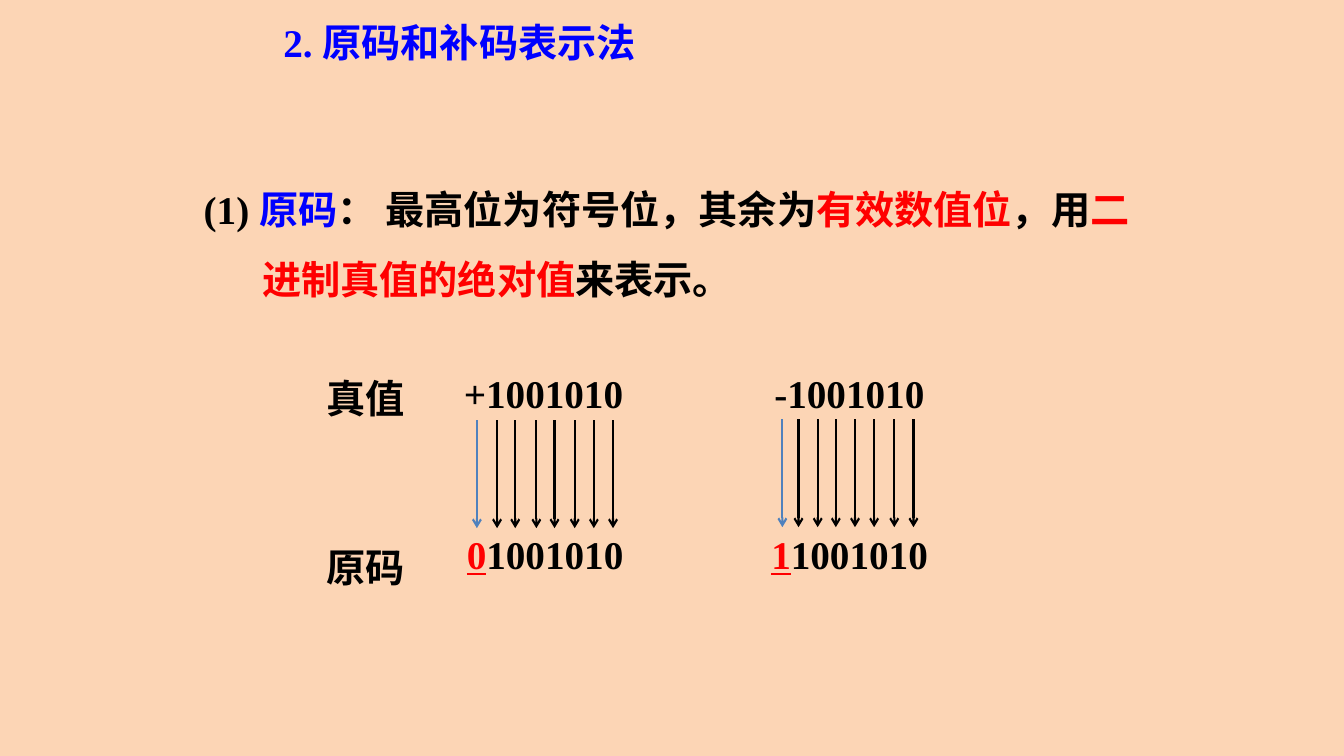
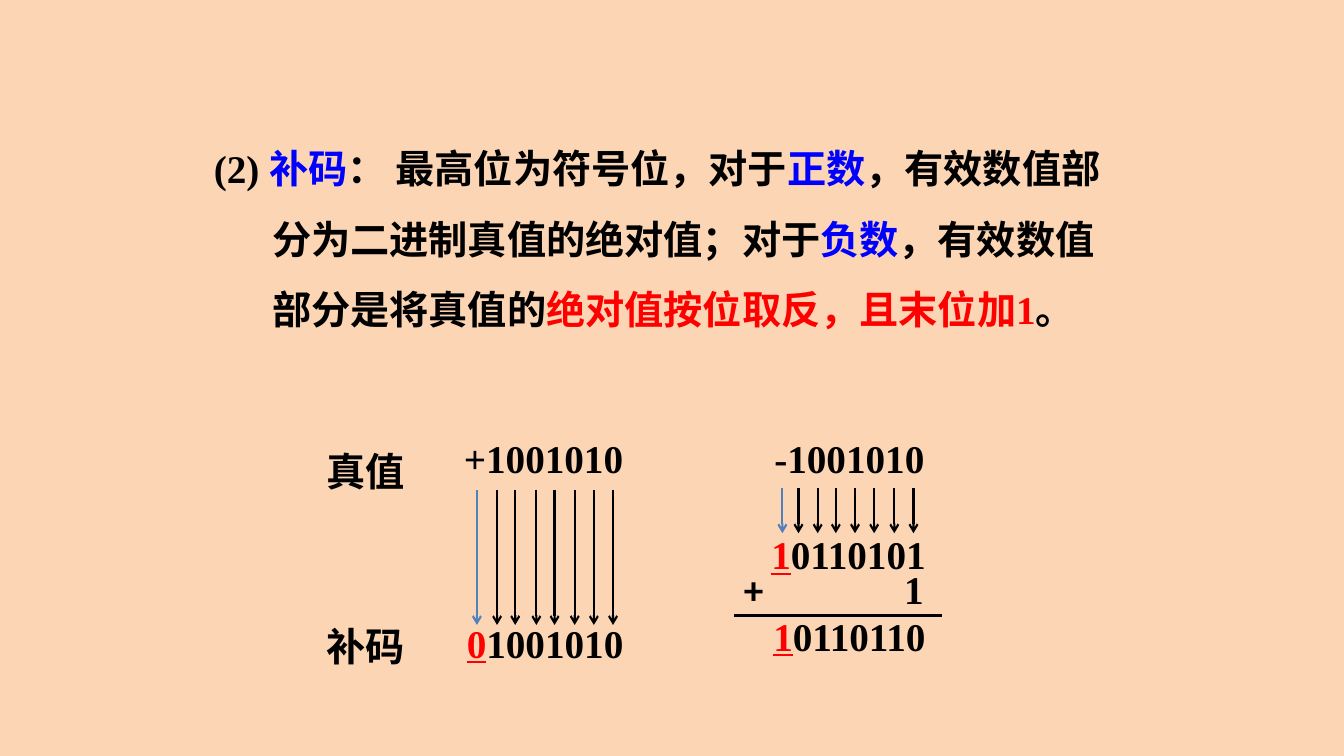
import lxml.etree
import pptx
import pptx.dml.color
import pptx.enum.shapes
import pptx.enum.text
import pptx.oxml.ns
import pptx.util

Inches = pptx.util.Inches
qn = pptx.oxml.ns.qn
hues = {"back": "FCD5B5", "ink": "000000", "blue": "0000FF", "red": "FF0000", "steel": "4F81BD"}
serif = "Times New Roman"
hans = "Noto Sans CJK SC"
style = {"size": pptx.util.Pt(28), "bold": True}
plain = {"word_wrap": True, "auto_size": pptx.enum.text.MSO_AUTO_SIZE.NONE,
         "vertical_anchor": pptx.enum.text.MSO_ANCHOR.TOP}
tight = {**plain, "margin_left": Inches(0.06), "margin_right": Inches(0.06),
         "margin_top": Inches(0.01), "margin_bottom": Inches(0.01)}
loose = {**plain, "word_wrap": False}


def write(shape, area, parts, frame=plain, face=serif, space=1.0):
    for key, value in zip(("left", "top", "width", "height"), area):
        setattr(shape, key, Inches(value))
    for key, value in frame.items():
        setattr(shape.text_frame, key, value)
    para = shape.text_frame.paragraphs[0]
    form = {"alignment": pptx.enum.text.PP_ALIGN.LEFT, "line_spacing": space,
            "space_before": pptx.util.Pt(0)}
    for key, value in form.items():
        setattr(para, key, value)
    for text, hue, *under in parts:
        run = para.add_run()
        run.text = text
        for key, value in {**style, "name": face, "underline": bool(under)}.items():
            setattr(run.font, key, value)
        run.font.color.rgb = pptx.dml.color.RGBColor.from_string(hues[hue])
        lxml.etree.SubElement(run.font._element, qn("a:ea"), typeface=hans)
    return para


def stroke(slide, start, end, hue, width, arrow=True):
    line = slide.shapes.add_connector(
        pptx.enum.shapes.MSO_CONNECTOR.STRAIGHT, *(Inches(n) for n in start + end))
    line.line.width = pptx.util.Pt(width)
    line.line.color.rgb = pptx.dml.color.RGBColor.from_string(hues[hue])
    props = line._element.spPr
    if arrow:
        lxml.etree.SubElement(props.find(qn("a:ln")), qn("a:tailEnd"), type="arrow")
    lxml.etree.SubElement(props, qn("a:effectLst"))


deck = pptx.Presentation()
deck.slide_width = Inches(13.33)
deck.slide_height = Inches(7.5)
fill = deck.slide_master.background.fill
fill.solid()
fill.fore_color.rgb = pptx.dml.color.RGBColor.from_string(hues["back"])

left = [4.73, 4.93, 5.11, 5.32, 5.5, 5.7, 5.89, 6.08]
right = [7.76, 7.92, 8.11, 8.29, 8.48, 8.67, 8.87, 9.06]

pages = [
    {"title": "2. 原码和补码表示法",
     "area": (1.92, 1.55, 9.47, 1.42),
     "body": [("(1) ", "ink"), ("原码", "blue"), ("： 最高位为符号位，其余为", "ink"),
              ("有效数值位", "red"), ("，用", "ink"), ("二进制真值的绝对值", "red"),
              ("来表示。", "ink")],
     "value": 3.65,
     "names": [("真值", 3.59, "Arial"), ("原码", 5.26, hans)],
     "codes": [(4.57, 5.25, "0", "1001010"), (7.59, 5.25, "1", "1001010")],
     "arrows": [(left, 4.17, 5.24), (right, 4.16, 5.23)]},
    {"title": None,
     "area": (2.02, 1.15, 9.08, 2.05),
     "body": [("(2) ", "ink"), ("补码", "blue"), ("： 最高位为符号位，对于", "ink"),
              ("正数", "blue"), ("，有效数值部分为二进制真值的绝对值；对于", "ink"),
              ("负数", "blue"), ("，有效数值部分是将真值的", "ink"),
              ("绝对值按位取反，且末位加1", "red"), ("。", "ink")],
     "value": 4.3,
     "names": [("真值", 4.31, "Arial"), ("补码", 6.05, hans)],
     "codes": [(4.57, 6.13, "0", "1001010"), (7.59, 5.25, "1", "0110101"),
               (7.61, 6.06, "1", "0110110")],
     "arrows": [(left, 4.86, 6.2), (right, 4.84, 5.29)]},
]

for page in pages:
    slide = deck.slides.add_slide(deck.slide_layouts[1])
    title, body = slide.placeholders
    if page["title"]:
        write(title, (2.71, 0.13, 4.01, 0.72), [(page["title"], "blue")])
    else:
        title._element.getparent().remove(title._element)
    para = write(body, page["area"], page["body"], space=1.5)
    props = para._p.get_or_add_pPr()
    props.set("marL", str(Inches(0.58)))
    props.set("indent", str(-Inches(0.58)))
    lxml.etree.SubElement(props, qn("a:buNone"))

    boxes = [((x, page["value"], 2.28, 0.61), [(text, "ink")], tight, serif, 1.0)
             for x, text in ((4.54, "+1001010"), (7.62, "-1001010"))]
    boxes += [((3.18, y, 1.1, 0.61), [(text, "ink")], tight, face, 1.25)
              for text, y, face in page["names"]]
    boxes += [((x, y, 2.2, 0.61), [(sign, "red", True), (bits, "ink")], tight, serif, 1.0)
              for x, y, sign, bits in page["codes"]]
    for box in boxes:
        write(slide.shapes.add_textbox(0, 0, 0, 0), *box)

    for spots, top, end in page["arrows"]:
        for spot in spots:
            hue = "steel" if spot == spots[0] else "ink"
            stroke(slide, (spot, top), (spot, end), hue, 1.5)

for text, x, face in (("+", 7.28, "Calibri"), ("1", 8.87, serif)):
    write(slide.shapes.add_textbox(0, 0, 0, 0), (x, 5.56, 0.4, 0.57), [(text, "ink")], loose, face)
stroke(slide, (7.28, 6.11), (9.34, 6.11), "ink", 2, False)

deck.save("out.pptx")
